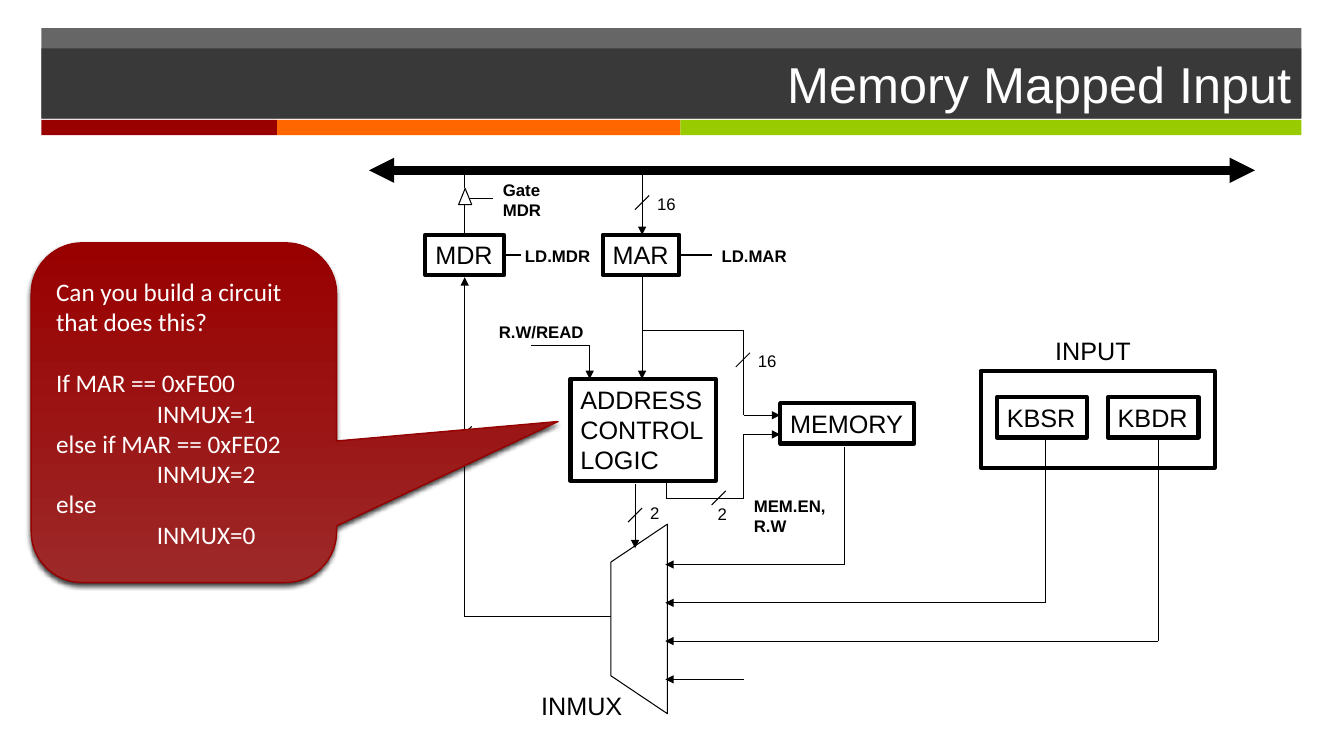
"""Build the Memory Mapped Input slide on a grid of tenth-inch cells."""
import lxml.etree
import pptx
import pptx.dml.color
import pptx.enum.shapes
import pptx.enum.text
import pptx.oxml.ns
import pptx.util

SHAPES = pptx.enum.shapes.MSO_SHAPE
ALIGN = pptx.enum.text.PP_ALIGN
ANCHOR = pptx.enum.text.MSO_ANCHOR
INK, PAPER, SLATE = "000000", "FFFFFF", "262626"
BAND_LEFT, BAND_WIDTH = 4.1, 125
BUS_ROW, MDR_COLUMN, MAR_COLUMN = 16.9, 46.1, 63.7
MUX_COLUMN, MUX_ROWS = 66, (56, 59.8, 63.6, 67.4)
FORK_COLUMN, MEMORY_COLUMN = 73.8, 77.4


def cells(count):
    """Return a length of so many grid cells."""
    return pptx.util.Inches(count / 10)


def color(code):
    """Return the colour for a hex string."""
    return pptx.dml.color.RGBColor.from_string(code)


def add_child(parent, tag, **attributes):
    """Append a drawing element with the given attributes."""
    child = lxml.etree.SubElement(parent, pptx.oxml.ns.qn(tag))
    for key, value in attributes.items():
        child.set(key, str(value))
    return child


def write(box, text, size, font="Arial", ink=INK, bold=False, align=ALIGN.LEFT,
          anchor=ANCHOR.TOP, wrap=False):
    """Put formatted text in a box."""
    frame = box.text_frame
    frame.text = text
    frame.word_wrap = wrap
    frame.vertical_anchor = anchor
    if not wrap:
        frame.auto_size = pptx.enum.text.MSO_AUTO_SIZE.SHAPE_TO_FIT_TEXT
    for para in frame.paragraphs:
        para.alignment = align
        for span in para.runs:
            span.font.name = font
            span.font.size = pptx.util.Pt(size)
            span.font.bold = bold
            span.font.color.rgb = color(ink)


def add_box(page, kind, place, fill=None, line=None, width=0.75, opacity=None):
    """Add a preset shape with its fill and outline."""
    box = page.shapes.add_shape(kind, *map(cells, place))
    box.shadow.inherit = False
    if fill:
        box.fill.solid()
        box.fill.fore_color.rgb = color(fill)
    else:
        box.fill.background()
    if opacity:
        paint = box.element.spPr.find(".//" + pptx.oxml.ns.qn("a:srgbClr"))
        add_child(paint, "a:alpha", val=opacity * 1000)
    if line:
        box.line.color.rgb = color(line)
        box.line.width = pptx.util.Pt(width)
    else:
        box.line.fill.background()
    return box


def add_block(page, text, place, fill=None):
    """Add a heavily outlined circuit block."""
    block = add_box(page, SHAPES.RECTANGLE, place, fill, INK, 3)
    write(block, text, 18)


def add_label(page, text, place, size=12, bold=False):
    """Add a free-standing label."""
    label = page.shapes.add_textbox(*map(cells, place))
    write(label, text, size, bold=bold)


def add_wire(page, *points, width=0.75, head=False, tail=False):
    """Join points with straight lines, with arrowheads at the ends."""
    for index, (start, end) in enumerate(zip(points, points[1:])):
        wire = page.shapes.add_connector(
            pptx.enum.shapes.MSO_CONNECTOR.STRAIGHT, *map(cells, start + end))
        wire.line.color.rgb = color(INK)
        wire.line.width = pptx.util.Pt(width)
        properties = wire.element.spPr
        outline = properties.find(pptx.oxml.ns.qn("a:ln"))
        if head and index == 0:
            add_child(outline, "a:headEnd", type="triangle")
        if tail and index == len(points) - 2:
            add_child(outline, "a:tailEnd", type="triangle")
        add_child(properties, "a:effectLst")


def add_heading(page):
    """Add the title band and its coloured strip."""
    add_box(page, SHAPES.RECTANGLE, (BAND_LEFT, 2.8, BAND_WIDTH, 8.9), SLATE, opacity=70)
    left = BAND_LEFT
    for width, fill in ((23.4, "990000"), (40, "FF6600"), (61.6, "99CC00")):
        add_box(page, SHAPES.RECTANGLE, (left, 11.9, width, 1.5), fill)
        left += width
    title = add_box(page, SHAPES.RECTANGLE, (BAND_LEFT, 4.8, BAND_WIDTH, 7), SLATE, opacity=70)
    write(title, "Memory Mapped Input", 36, ink=PAPER, align=ALIGN.RIGHT,
          anchor=ANCHOR.MIDDLE, wrap=True)


def add_blocks(page):
    """Add the registers, memory, control logic and multiplexer."""
    add_box(page, SHAPES.RECTANGLE, (97.3, 36.8, 23.2, 9.6), PAPER, INK, 3)
    for text, place, fill in (
        ("MDR", (42.2, 23.3, 7.8, 4), None),
        ("MAR", (59.8, 23.3, 7.6, 4), None),
        ("ADDRESS\nCONTROL\nLOGIC", (56.6, 37.6, 14.4, 10.1), None),
        ("MEMORY", (77.4, 40, 13.3, 4), None),
        ("KBSR", (98.9, 39.4, 8.9, 4), PAPER),
        ("KBDR", (109.9, 39.4, 9, 4), PAPER),
    ):
        add_block(page, text, place, fill)
    mux = add_box(page, SHAPES.FLOWCHART_MANUAL_OPERATION, (54, 58.6, 18.8, 5.6), PAPER, INK)
    mux.rotation = 90


def add_wiring(page):
    """Add the bus, the wires and the bus-width ticks."""
    add_wire(page, (36.6, BUS_ROW), (124.5, BUS_ROW), width=6, head=True, tail=True)
    sources = ((83.8, 44.3), (103.7, 43.7), (114.9, 43.7))
    for (column, row), mux_row in zip(sources, MUX_ROWS):
        add_wire(page, (column, row), (column, mux_row), (MUX_COLUMN, mux_row), tail=True)
    for points in (
        ((FORK_COLUMN, MUX_ROWS[-1]), (MUX_COLUMN, MUX_ROWS[-1])),
        ((63, 48), (63, 54.4)),
        ((MAR_COLUMN, BUS_ROW), (MAR_COLUMN, 23.3)),
        ((MAR_COLUMN, 27.5), (MAR_COLUMN, 37.6)),
        ((MAR_COLUMN, 32.8), (FORK_COLUMN, 32.8), (FORK_COLUMN, 41.2), (MEMORY_COLUMN, 41.2)),
        ((66.1, 47.6), (66.1, 49.5), (FORK_COLUMN, 49.5), (FORK_COLUMN, 43.1),
         (MEMORY_COLUMN, 43.1)),
        ((60.6, 61.2), (MDR_COLUMN, 61.2), (MDR_COLUMN, 27.5)),
        ((52.7, 34.3), (58.5, 34.3), (58.5, 37.6)),
    ):
        add_wire(page, *points, tail=True)
    add_box(page, SHAPES.ISOSCELES_TRIANGLE, (45.5, 18.7, 1.3, 1.6), PAPER, INK)
    for start, end in (
        ((MDR_COLUMN, 23.3), (MDR_COLUMN, 20.3)),
        ((MDR_COLUMN, 18.7), (MDR_COLUMN, BUS_ROW)),
        ((46.5, 19.7), (48.9, 19.7)),
        ((67.4, 25.3), (70.6, 25.3)),
        ((50, 25.3), (51.7, 25.3)),
    ):
        add_wire(page, start, end)
    for column, row in ((71.3, 49.4), (63, 51.1), (46.1, 43), (63.7, 20.1), (73.7, 35.7)):
        add_wire(page, (column + 0.7, row - 0.7), (column - 0.7, row + 0.7))


def add_labels(page):
    """Add the signal names, bus widths and block names."""
    for text, place in (
        ("Gate\nMDR", (48.9, 17.3, 5.8, 5)),
        ("LD.MAR", (70.6, 23.9, 8.6, 3)),
        ("LD.MDR", (51.1, 23.9, 8.6, 3)),
        ("R.W/READ", (48.5, 31.4, 10.5, 3)),
        ("MEM.EN,\nR.W", (73.8, 48.7, 9.2, 5)),
    ):
        add_label(page, text, place, bold=True)
    for text, place in (
        ("2", (63.5, 49.4, 2.9, 3)),
        ("2", (70.2, 49.5, 2.9, 3)),
        ("16", (64.2, 18.7, 3.9, 3)),
        ("16", (74.2, 34.3, 3.9, 3)),
    ):
        add_label(page, text, place)
    add_label(page, "INPUT", (103.7, 32.8, 9.6, 4), 18)
    add_label(page, "INMUX", (52.7, 68, 10.2, 4), 18)


def add_callout(page):
    """Add the question callout that points at the control logic."""
    callout = add_box(page, SHAPES.ROUNDED_RECTANGULAR_CALLOUT, (3.1, 24.1, 30.3, 33.7),
                      line="960000", width=1)
    for index, value in enumerate((1.225, 0.026, 0.167)):
        callout.adjustments[index] = value
    callout.fill.gradient()
    callout.fill.gradient_angle = 90
    for stop, code in zip(callout.fill.gradient_stops, ("9D2828", "990000")):
        stop.color.rgb = color(code)
    effects = callout.element.spPr.find(pptx.oxml.ns.qn("a:effectLst"))
    shadow = add_child(effects, "a:outerShdw", blurRad=pptx.util.Pt(3), dist=pptx.util.Pt(2),
                       dir=110 * 60000, rotWithShape=0)
    add_child(add_child(shadow, "a:srgbClr", val=INK), "a:alpha", val=75000)
    write(callout, "Can you build a circuit that does this?\nIf MAR == 0xFE00\nINMUX=1\n"
          "else if MAR == 0xFE02\nINMUX=2\nelse\nINMUX=0", 18, "Calibri", PAPER,
          anchor=ANCHOR.MIDDLE, wrap=True)
    paragraphs = callout.text_frame.paragraphs
    paragraphs[1].space_before = pptx.util.Pt(22)
    for para in paragraphs[2::2]:
        para._p.get_or_add_pPr().set("marL", str(cells(10)))


def main():
    """Build and save the deck."""
    deck = pptx.Presentation()
    deck.slide_width, deck.slide_height = cells(133.33), cells(75)
    page = deck.slides.add_slide(deck.slide_layouts[6])
    for add_part in (add_heading, add_blocks, add_wiring, add_labels, add_callout):
        add_part(page)
    deck.save("out.pptx")


if __name__ == "__main__":
    main()
